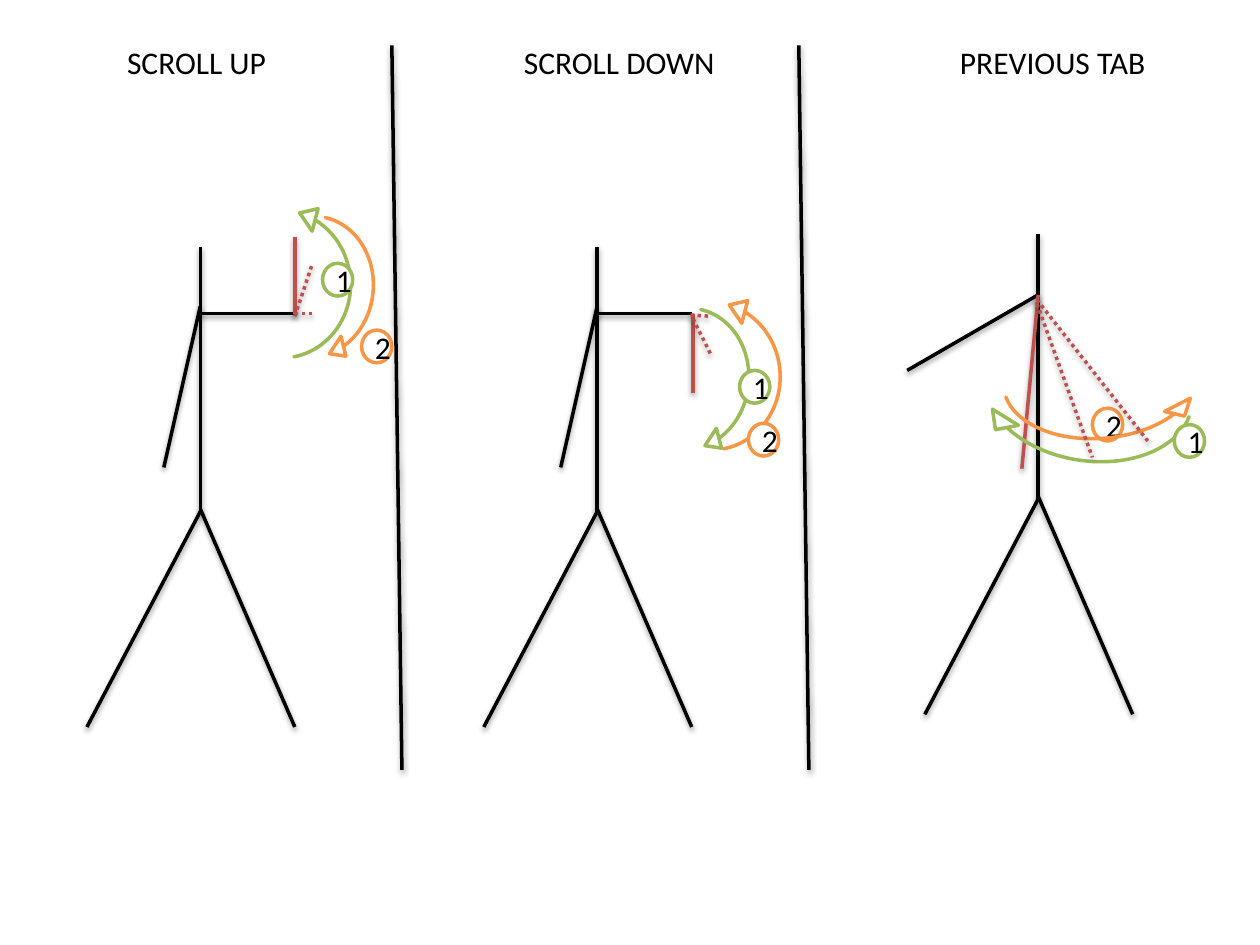
from dataclasses import dataclass

from lxml import etree
from pptx import Presentation
from pptx.dml.color import RGBColor
from pptx.enum.dml import MSO_LINE
from pptx.enum.shapes import MSO_CONNECTOR, MSO_SHAPE
from pptx.enum.text import MSO_AUTO_SIZE, PP_ALIGN
from pptx.oxml.ns import qn
from pptx.util import Inches, Pt

STRAIGHT = MSO_CONNECTOR.STRAIGHT
CURVED_ARROW = MSO_SHAPE.CIRCULAR_ARROW
OVAL = MSO_SHAPE.OVAL
DOTTED = MSO_LINE.ROUND_DOT
FIT_TEXT = MSO_AUTO_SIZE.SHAPE_TO_FIT_TEXT
CENTER = PP_ALIGN.CENTER

COLORS = {"black": "000000", "white": "FFFFFF", "red": "C0504D",
          "green": "9BBB59", "orange": "F79646"}
FONT = "Calibri"
LINE_WIDTH = 2
ARROW_ADJUSTMENTS = (0, 7.986, 196.478, 111.463, 0.072)
LARGE_ARC, SMALL_ARC = (1.36, 1.29), (1.28, 1.13)
HEADING_TOP = 0.29
DIVIDER_LEFTS = (3.11, 6.34)

# Figure parts are x1, y1, x2, y2 in inches from the top of the spine.
BODY = ((0, 0, 0, 2.1), (0, 2.1, -0.9, 3.81), (0, 2.08, 0.75, 3.81))
BENT_ARMS = ((0, 0.47, -0.29, 1.75), (0, 0.53, 0.75, 0.53))
RAISED_ARM = ((0, 0.48, -1.04, 1.08),)


@dataclass
class Arc:
    """A curved arrow; flip holds the letters h and v."""
    color: str
    left: float
    top: float
    size: tuple
    rotation: float
    flip: str


@dataclass
class Badge:
    number: str
    color: str
    left: float
    top: float


@dataclass
class Panel:
    heading: str
    heading_offset: float
    heading_width: float
    origin: tuple
    arms: tuple
    moving_arm: tuple
    gesture: tuple
    dotted_arms: tuple


PANELS = (
    Panel("SCROLL UP", -0.68, 1.32, (1.59, 1.96), BENT_ARMS,
          (0.75, 0.53, 0.75, -0.08),
          (Arc("green", -0.04, -0.35, LARGE_ARC, 265.5, "v"),
           Arc("orange", 0.25, -0.25, SMALL_ARC, 275, "hv"),
           Badge("1", "green", 0.97, 0.13),
           Badge("2", "orange", 1.28, 0.66)),
          ((0.75, 0.55, 0.89, 0.13), (0.75, 0.53, 0.89, 0.53))),
    Panel("SCROLL DOWN", -0.68, 1.73, (4.74, 1.96), BENT_ARMS,
          (0.76, 0.53, 0.76, 1.16),
          (Arc("orange", 0.22, 0.38, LARGE_ARC, 265.5, "v"),
           Arc("green", 0.08, 0.48, SMALL_ARC, 275, "hv"),
           Badge("1", "green", 1.13, 0.98),
           Badge("2", "orange", 1.2, 1.4)),
          ((0.76, 0.57, 0.9, 0.85), (0.74, 0.54, 0.9, 0.55))),
    Panel("PREVIOUS TAB", -0.72, 1.68, (8.24, 1.86), RAISED_ARM,
          (0, 0.48, -0.13, 1.86),
          (Arc("green", -0.52, 0.6, (1.84, 1.29), 8.6, "hv"),
           Badge("1", "green", 1.08, 1.51),
           Badge("2", "orange", 0.43, 1.38),
           Arc("orange", -0.36, 0.57, (1.73, 1.13), 354.1, "v")),
          ((-0.01, 0.52, 0.87, 1.64), (-0.01, 0.55, 0.43, 1.77))),
)


def rgb(name):
    return RGBColor.from_string(COLORS[name])


def add_shadow(connector):
    effects = etree.SubElement(connector._element.spPr, qn("a:effectLst"))
    shadow = etree.SubElement(effects, qn("a:outerShdw"), blurRad="40000",
                              dist="20000", dir="5400000", rotWithShape="0")
    color = etree.SubElement(shadow, qn("a:srgbClr"), val=COLORS["black"])
    etree.SubElement(color, qn("a:alpha"), val="38000")


def add_line(slide, origin, ends, color="black", dash=None):
    left, top = origin
    x1, y1, x2, y2 = ends
    connector = slide.shapes.add_connector(
        STRAIGHT, Inches(left + x1), Inches(top + y1),
        Inches(left + x2), Inches(top + y2))
    connector.line.color.rgb = rgb(color)
    connector.line.width = Pt(LINE_WIDTH)
    if dash:
        connector.line.dash_style = dash
    add_shadow(connector)


def add_outlined_shape(slide, preset, origin, mark, size):
    shape = slide.shapes.add_shape(
        preset, Inches(origin[0] + mark.left), Inches(origin[1] + mark.top),
        Inches(size[0]), Inches(size[1]))
    shape.shadow.inherit = False
    shape.fill.solid()
    shape.fill.fore_color.rgb = rgb("white")
    shape.line.color.rgb = rgb(mark.color)
    shape.line.width = Pt(LINE_WIDTH)
    return shape


def add_arc(slide, origin, arc):
    shape = add_outlined_shape(slide, CURVED_ARROW, origin, arc, arc.size)
    for index, value in enumerate(ARROW_ADJUSTMENTS):
        shape.adjustments[index] = value
    shape.rotation = arc.rotation
    transform = shape._element.spPr.find(qn("a:xfrm"))
    for axis in arc.flip:
        transform.set("flip" + axis.upper(), "1")


def format_text(paragraph):
    for run in paragraph.runs:
        run.font.name = FONT
        run.font.size = Pt(18)
        run.font.color.rgb = rgb("black")


def add_badge(slide, origin, badge):
    shape = add_outlined_shape(slide, OVAL, origin, badge, (0.24, 0.26))
    shape.text_frame.text = badge.number
    paragraph = shape.text_frame.paragraphs[0]
    paragraph.alignment = CENTER
    format_text(paragraph)


def add_heading(slide, panel):
    box = slide.shapes.add_textbox(
        Inches(panel.origin[0] + panel.heading_offset), Inches(HEADING_TOP),
        Inches(panel.heading_width), Inches(0.4))
    box.text_frame.word_wrap = False
    box.text_frame.auto_size = FIT_TEXT
    box.text_frame.text = panel.heading
    format_text(box.text_frame.paragraphs[0])


def add_panel(slide, panel):
    add_heading(slide, panel)
    for ends in BODY + panel.arms:
        add_line(slide, panel.origin, ends)
    add_line(slide, panel.origin, panel.moving_arm, "red")
    for mark in panel.gesture:
        add_mark = add_arc if isinstance(mark, Arc) else add_badge
        add_mark(slide, panel.origin, mark)
    for ends in panel.dotted_arms:
        add_line(slide, panel.origin, ends, "red", DOTTED)


def main():
    presentation = Presentation()
    presentation.slide_width = Inches(10)
    presentation.slide_height = Inches(7.5)
    slide = presentation.slides.add_slide(presentation.slide_layouts[6])
    for left in DIVIDER_LEFTS:
        add_line(slide, (left, 0.36), (0, 0, 0.08, 5.75))
    for panel in PANELS:
        add_panel(slide, panel)
    presentation.save("out.pptx")


if __name__ == "__main__":
    main()
